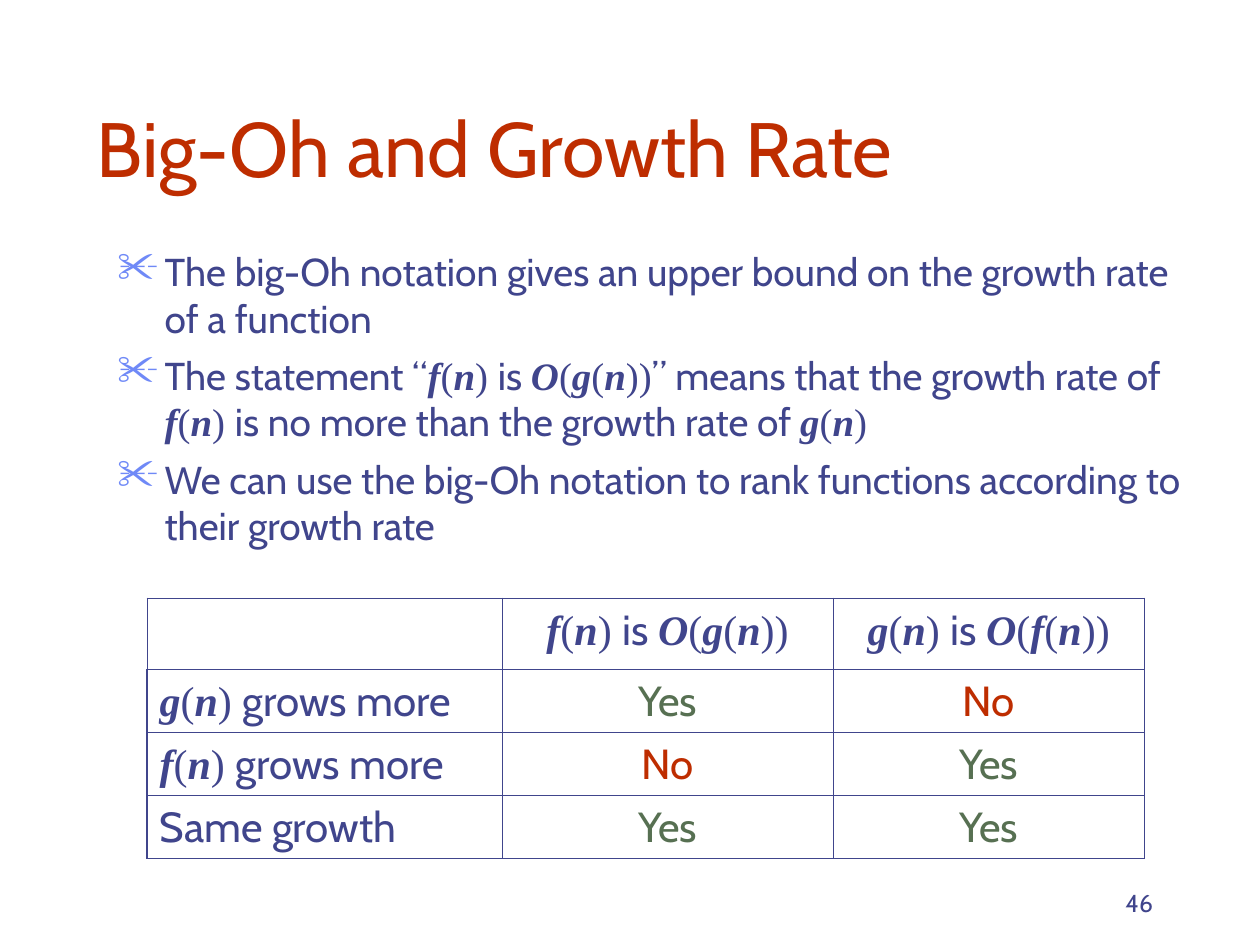
"""Build the slide on big-Oh notation and growth rates."""
from dataclasses import dataclass
from itertools import groupby

from lxml import etree
from pptx import Presentation
from pptx.dml.color import RGBColor
from pptx.enum.text import MSO_ANCHOR, PP_ALIGN
from pptx.oxml.ns import qn
from pptx.util import Pt

LEFT, CENTER, RIGHT = PP_ALIGN.LEFT, PP_ALIGN.CENTER, PP_ALIGN.RIGHT
TOP, BOTTOM = MSO_ANCHOR.TOP, MSO_ANCHOR.BOTTOM


@dataclass(frozen=True)
class Theme:
    """Colours, fonts, type sizes and line widths of the slide."""
    ink: str = "40458C"
    red: str = "BE2D00"
    green: str = "577052"
    bullet: str = "6F89F7"
    text_font: str = "Cabin"
    math_font: str = "Times New Roman"
    title_size: float = 44
    body_size: float = 22.2
    table_size: float = 24
    number_size: float = 14
    thin: float = 0.45
    thick: float = 1.08


THEME = Theme()
POINTS = [
    "The big-Oh notation gives an upper bound on the growth rate of a function",
    "The statement “$f(n) $is $O(g(n))$” means that the growth rate of "
    "$f(n) $is no more than the growth rate of $g(n)$",
    "We can use the big-Oh notation to rank functions according to their growth rate",
]
ROWS = [
    ["", "$f(n) $is $O(g(n))$", "$g(n) $is $O(f(n))$"],
    ["$g(n) $grows more", "Yes", "No"],
    ["$f(n) $grows more", "No", "Yes"],
    ["Same growth", "Yes", "Yes"],
]
ANSWER_COLORS = {"Yes": THEME.green, "No": THEME.red}


def add_span(para, text, font, size, color, emphasis=False):
    """Append one formatted run to a paragraph."""
    span = para.add_run()
    span.text = text
    span.font.name = font
    span.font.size = Pt(size)
    span.font.bold = span.font.italic = emphasis
    span.font.color.rgb = RGBColor.from_string(color)


def write(para, text, size=THEME.body_size, color=THEME.ink, align=LEFT, before=0):
    """Write text in a paragraph, setting the parts between dollar signs as math."""
    para.alignment = align
    para.space_before = Pt(before)
    for index, part in enumerate(text.split("$")):
        if index % 2:
            for is_letter, letters in groupby(part, str.isalpha):
                add_span(para, "".join(letters), THEME.math_font, size, color, is_letter)
        elif part:
            add_span(para, part, THEME.text_font, size, color)


def add_box(page, left, top, width, height, anchor=TOP):
    """Add a wrapping text box and return its text frame."""
    box = page.shapes.add_textbox(Pt(left), Pt(top), Pt(width), Pt(height))
    frame = box.text_frame
    frame.word_wrap = True
    frame.vertical_anchor = anchor
    return frame


def add_title(page, text):
    """Place and fill the title placeholder."""
    title = page.shapes.title
    title.left, title.top, title.width, title.height = Pt(48), Pt(24), Pt(612), Pt(90)
    title.text_frame.vertical_anchor = BOTTOM
    write(title.text_frame.paragraphs[0], text, size=THEME.title_size, color=THEME.red)


def set_bullet(para):
    """Give a paragraph a hanging scissors bullet."""
    properties = para._p.get_or_add_pPr()
    properties.set("marL", str(Pt(27)))
    properties.set("indent", str(Pt(-27)))
    color = etree.SubElement(properties, qn("a:buClr"))
    etree.SubElement(color, qn("a:srgbClr"), val=THEME.bullet)
    etree.SubElement(properties, qn("a:buSzPct"), val="110000")
    etree.SubElement(properties, qn("a:buChar"), char="✂")


def add_points(page, points):
    """Add the bulleted body text."""
    frame = add_box(page, 60, 138, 630, 204)
    for index, point in enumerate(points):
        para = frame.add_paragraph() if index else frame.paragraphs[0]
        set_bullet(para)
        write(para, point, before=6 if index else 0)


def set_borders(cell, thick_sides):
    """Draw all four cell borders, the named sides with the thicker line."""
    properties = cell._tc.get_or_add_tcPr()
    for side in "LRTB":
        width = THEME.thick if side in thick_sides else THEME.thin
        line = etree.SubElement(properties, qn(f"a:ln{side}"), w=str(Pt(width)))
        fill = etree.SubElement(line, qn("a:solidFill"))
        etree.SubElement(fill, qn("a:srgbClr"), val=THEME.ink)


def outer_sides(row, column):
    """Name the sides of a cell that lie on the thick outline."""
    tests = {
        "L": column == 0 and row > 0,
        "R": column == len(ROWS[0]) - 1,
        "T": row == 0,
        "B": row == len(ROWS) - 1,
    }
    return [side for side, outer in tests.items() if outer]


def add_growth_table(page, rows):
    """Add the table that compares the two growth rates."""
    widths, heights = [203, 189, 178], [40.5, 36, 36, 36]
    table = page.shapes.add_table(
        len(rows), len(widths), Pt(84), Pt(342), Pt(sum(widths)), Pt(sum(heights))
    ).table
    table.first_row = table.horz_banding = False
    for column, width in zip(table.columns, widths):
        column.width = Pt(width)
    for row, height in zip(table.rows, heights):
        row.height = Pt(height)
    for row, texts in enumerate(rows):
        for column, text in enumerate(texts):
            cell = table.cell(row, column)
            set_borders(cell, outer_sides(row, column))
            cell.fill.background()
            write(cell.text_frame.paragraphs[0], text, size=THEME.table_size,
                  color=ANSWER_COLORS.get(text, THEME.ink),
                  align=CENTER if column else LEFT)


def add_page_number(page, number):
    """Add the page number at the lower right."""
    frame = add_box(page, 516, 492, 150, 36, anchor=BOTTOM)
    write(frame.paragraphs[0], number, size=THEME.number_size, align=RIGHT)


def main():
    """Build and save the deck."""
    deck = Presentation()
    deck.slide_width, deck.slide_height = Pt(720), Pt(540)
    page = deck.slides.add_slide(deck.slide_layouts[5])
    add_page_number(page, "46")
    add_title(page, "Big-Oh and Growth Rate")
    add_points(page, POINTS)
    add_growth_table(page, ROWS)
    deck.save("out.pptx")


if __name__ == "__main__":
    main()
